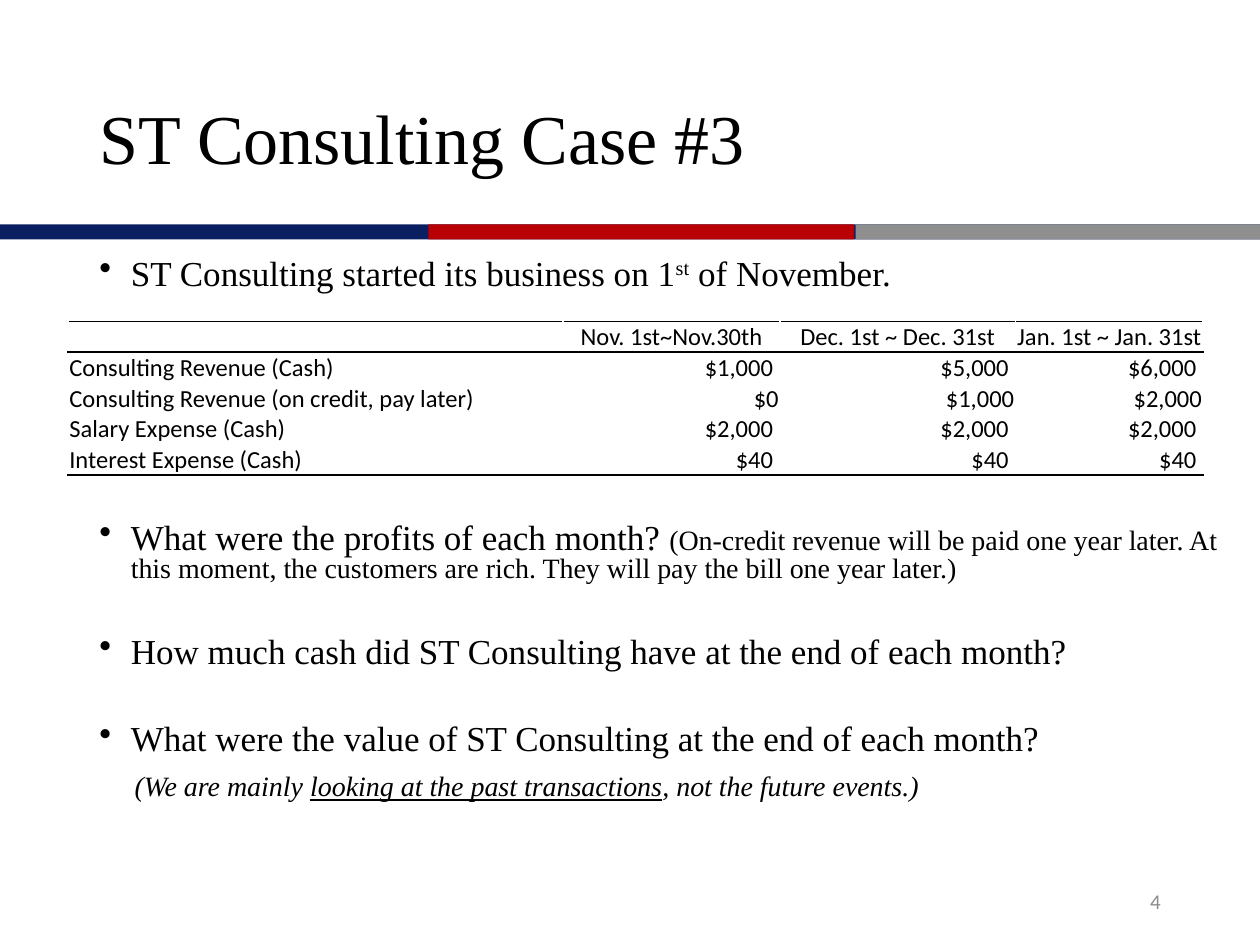
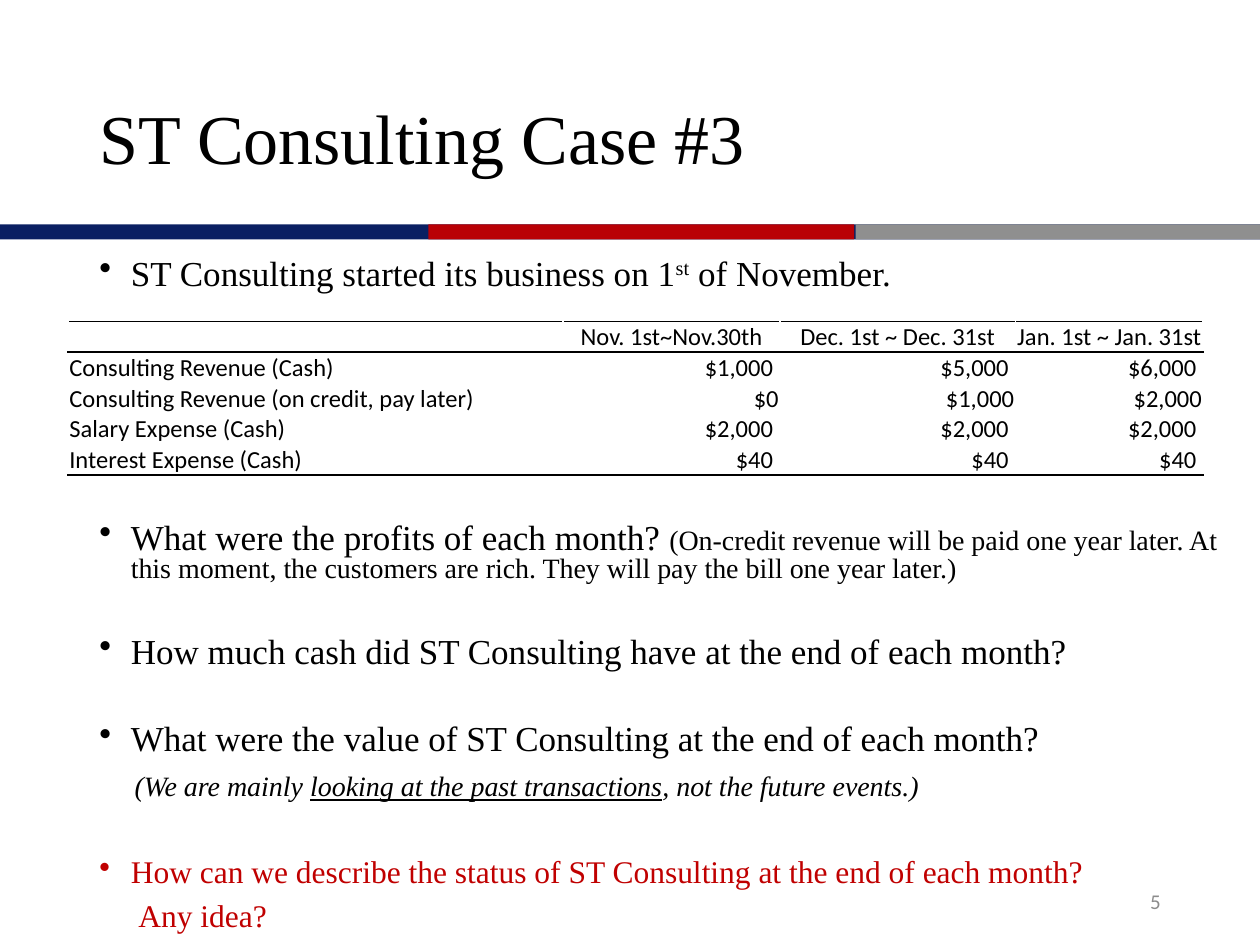
from dataclasses import dataclass

from lxml.etree import SubElement
from pptx import Presentation
from pptx.dml.color import RGBColor
from pptx.enum.shapes import MSO_SHAPE
from pptx.enum.text import MSO_ANCHOR, PP_ALIGN
from pptx.oxml.ns import qn
from pptx.util import Inches, Pt


@dataclass(frozen=True)
class Theme:
    serif: str = "Times New Roman"
    sans: str = "Calibri"
    black: str = "000000"
    white: str = "FFFFFF"
    navy: str = "0A1F62"
    red: str = "B90005"
    gray: str = "8F8F8F"
    accent: str = "C00000"
    muted: str = "8C8C8C"
    title: int = 40
    body: int = 20
    prompt: int = 18
    note: int = 16
    table: int = 14
    footer: int = 12


@dataclass(frozen=True)
class Span:
    text: str
    size: int
    color: str = Theme.black
    font: str = Theme.serif
    italic: bool = False
    underline: bool = False
    raised: bool = False


@dataclass(frozen=True)
class Line:
    spans: tuple
    before: int = 0
    spacing: float = Pt(15)
    bullet: bool = True
    indent: float = 0.25
    align: PP_ALIGN = PP_ALIGN.LEFT


class Deck:
    def __init__(self, theme):
        self.theme = theme
        self.presentation = Presentation()
        self.presentation.slide_width = Inches(10)
        self.presentation.slide_height = Inches(7.5)
        self.slide = None

    def add_slide(self, title, number):
        theme = self.theme
        self.slide = self.presentation.slides.add_slide(self.presentation.slide_layouts[6])
        for left, width, color in ((0, 10, theme.navy), (3.4, 3.38, theme.red), (6.79, 3.21, theme.gray)):
            self.band(left, width, color)
        heading = Line((Span(title, theme.title),), spacing=0.9, bullet=False, indent=0)
        self.text((0.69, 0.4, 8.87, 1.45), [heading], MSO_ANCHOR.MIDDLE)
        page = Span(str(number), theme.footer, theme.muted, theme.sans)
        footer = Line((page,), spacing=1.0, bullet=False, indent=0, align=PP_ALIGN.RIGHT)
        self.text((7.06, 6.95, 2.25, 0.4), [footer], MSO_ANCHOR.MIDDLE)

    def band(self, left, width, color):
        band = self.slide.shapes.add_shape(
            MSO_SHAPE.RECTANGLE, Inches(left), Inches(1.78), Inches(width), Inches(0.12))
        band.shadow.inherit = False
        band.fill.solid()
        band.fill.fore_color.rgb = RGBColor.from_string(color)
        band.line.fill.background()

    def text(self, place, lines, anchor=MSO_ANCHOR.TOP):
        frame = self.slide.shapes.add_textbox(*map(Inches, place)).text_frame
        frame.word_wrap = True
        frame.vertical_anchor = anchor
        for index, line in enumerate(lines):
            paragraph = frame.add_paragraph() if index else frame.paragraphs[0]
            self.format_line(paragraph, line)
            for span in line.spans:
                self.run(paragraph, span)

    def format_line(self, paragraph, line):
        properties = paragraph._p.get_or_add_pPr()
        properties.set("marL", str(Inches(line.indent)))
        properties.set("indent", str(Inches(-line.indent if line.bullet else 0)))
        if line.bullet:
            SubElement(properties, qn("a:buChar"), char="•")
        else:
            SubElement(properties, qn("a:buNone"))
        paragraph.line_spacing = line.spacing
        paragraph.space_before = Pt(line.before)
        paragraph.alignment = line.align

    def run(self, paragraph, span):
        run = paragraph.add_run()
        run.text = span.text
        run.font.name = span.font
        run.font.size = Pt(span.size)
        run.font.italic = span.italic
        run.font.underline = span.underline
        run.font.color.rgb = RGBColor.from_string(span.color)
        if span.raised:
            run.font._element.set("baseline", "30000")

    def table(self, left, top, widths, height, rows):
        table = self.slide.shapes.add_table(
            len(rows), len(widths), Inches(left), Inches(top),
            Inches(sum(widths)), Inches(height)).table
        table.first_row = table.horz_banding = False
        for column, width in zip(table.columns, widths):
            column.width = Inches(width)
        last = len(rows) - 1
        for r, row in enumerate(rows):
            table.rows[r].height = Inches(height / len(rows))
            for c, value in enumerate(row):
                align = PP_ALIGN.LEFT if c == 0 else PP_ALIGN.RIGHT if r else PP_ALIGN.CENTER
                self.cell(table.cell(r, c), value, align, r < 2, r in (0, last))

    def cell(self, cell, value, align, ruled_top, ruled_bottom):
        theme = self.theme
        cell.margin_left = cell.margin_right = cell.margin_top = Inches(0.01)
        cell.margin_bottom = 0
        cell.vertical_anchor = MSO_ANCHOR.MIDDLE
        paragraph = cell.text_frame.paragraphs[0]
        paragraph.alignment = align
        if value:
            self.run(paragraph, Span(value, theme.table, font=theme.sans))
        else:
            SubElement(paragraph._p, qn("a:endParaRPr"), sz=str(theme.table * 100))
        rules = {"L": False, "R": False, "T": ruled_top, "B": ruled_bottom}
        for side, ruled in rules.items():
            border = SubElement(cell._tc.get_or_add_tcPr(), qn(f"a:ln{side}"), w=str(Pt(1)))
            fill = SubElement(border, qn("a:solidFill"))
            SubElement(fill, qn("a:srgbClr"), val=theme.black if ruled else theme.white)
        cell.fill.background()


THEME = Theme()
TITLE = "ST Consulting Case #3"
PARAGRAPH_GAP = 10
QUESTION_GAP = 35
TABLE_GAP = 136

CASH_FLOWS = [
    ("", "Nov. 1st~Nov.30th", "Dec. 1st ~ Dec. 31st", "Jan. 1st ~ Jan. 31st"),
    ("Consulting Revenue (Cash)", "$1,000 ", "$5,000 ", "$6,000 "),
    ("Consulting Revenue (on credit, pay later)", "$0", "$1,000", "$2,000"),
    ("Salary Expense (Cash)", "$2,000 ", "$2,000 ", "$2,000 "),
    ("Interest Expense (Cash)", "$40 ", "$40 ", "$40 "),
]

QUESTIONS = [
    Line((Span("ST Consulting started its business on 1", THEME.body),
          Span("st", THEME.body, raised=True),
          Span(" of November.", THEME.body)), spacing=Pt(20)),
    Line((Span("What were the profits of each month? ", THEME.body),
          Span("(On-credit revenue will be paid one year later. At this moment, "
               "the customers are rich. They will pay the bill one year later.)", THEME.note)),
         TABLE_GAP),
    Line((Span("How much cash did ST Consulting have at the end of each month?", THEME.body),),
         QUESTION_GAP),
    Line((Span("What were the value of ST Consulting at the end of each month?", THEME.body),),
         QUESTION_GAP),
    Line((Span("(We are mainly ", THEME.note, italic=True),
          Span("looking at the past transactions", THEME.note, italic=True, underline=True),
          Span(", not the future events.)", THEME.note, italic=True)),
         PARAGRAPH_GAP, bullet=False, indent=0.28),
]

STATUS_PROMPT = [
    Line((Span("How can we describe the status of ST Consulting at the end of each month?",
               THEME.prompt, THEME.accent),), QUESTION_GAP),
    Line((Span("Any idea?", THEME.prompt, THEME.accent),),
         PARAGRAPH_GAP, bullet=False, indent=0.31),
]


def main():
    deck = Deck(THEME)
    for number, lines in ((4, QUESTIONS), (5, QUESTIONS + STATUS_PROMPT)):
        deck.add_slide(TITLE, number)
        deck.text((0.69, 2, 9.2, 4.76), lines)
        deck.table(0.54, 2.55, (3.93, 1.72, 1.87, 1.49), 1.22, CASH_FLOWS)
    deck.presentation.save("out.pptx")


if __name__ == "__main__":
    main()
